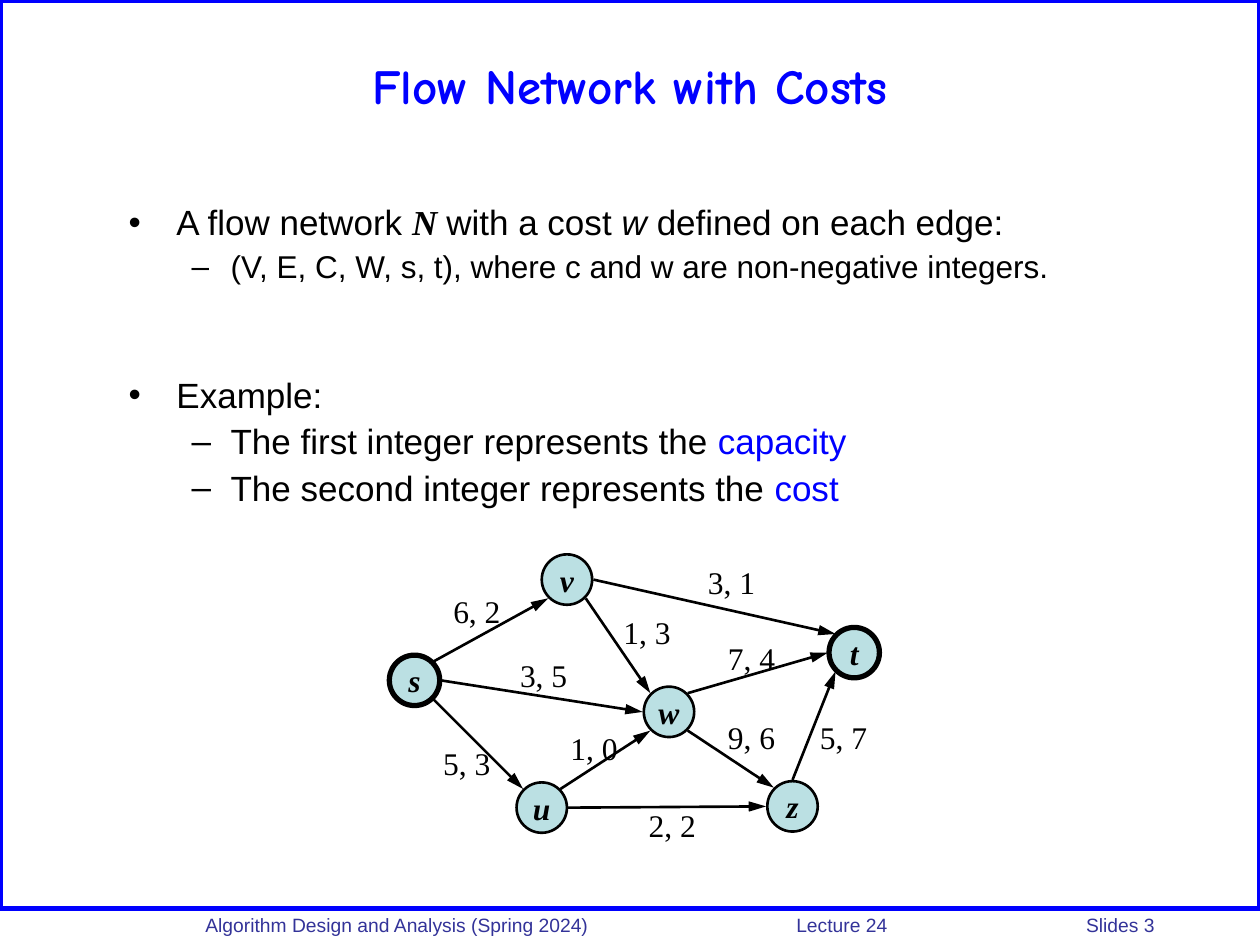
from math import cos, radians, sin

from lxml.etree import SubElement
from pptx import Presentation
from pptx.dml.color import RGBColor
from pptx.enum.shapes import MSO_CONNECTOR, MSO_SHAPE
from pptx.enum.text import MSO_ANCHOR, MSO_AUTO_SIZE, PP_ALIGN
from pptx.oxml.ns import qn
from pptx.util import Inches, Pt

BLACK, BLUE = RGBColor(0, 0, 0), RGBColor(0, 0, 255)
THEME = {
    "node": RGBColor(0xBB, 0xE0, 0xE3),
    "title": {"name": "Comic Neue", "size": Pt(28), "bold": True, "color": BLUE},
    "body": {"name": "Arial", "size": Pt(20), "color": BLACK},
    "detail": {"size": Pt(18)},
    "term": {"color": BLUE},
    "variable": {"italic": True},
    "network": {"name": "Times New Roman", "bold": True, "italic": True},
    "label": {"name": "Times New Roman", "size": Pt(18), "color": BLACK},
    "footer": {"name": "Arial", "size": Pt(11), "color": RGBColor(0x33, 0x33, 0x99)},
}


def write(para, text, *styles):
    """Add a span to a paragraph; later styles override earlier ones."""
    span = para.add_run()
    span.text = text
    for style in styles:
        for key, value in THEME[style].items():
            if key == "color":
                span.font.color.rgb = value
            else:
                setattr(span.font, key, value)


def place(box, left, top, width, height):
    """Put a box on the grid, counted in columns and rows."""
    box.left, box.top = int(left * column), int(top * row)
    box.width, box.height = int(width * column), int(height * row)


deck = Presentation()
deck.slide_width, deck.slide_height = Inches(10), Inches(7.5)
column, row = deck.slide_width / 100, deck.slide_height / 75
page = deck.slides.add_slide(deck.slide_layouts[1])

# Page frame
frame = page.shapes.add_shape(MSO_SHAPE.RECTANGLE, 0, 0, 0, 0)
place(frame, 0, 0, 100, 72.1)
frame.shadow.inherit = False
frame.fill.background()
frame.line.color.rgb, frame.line.width = BLUE, Pt(3)

# Footer, its three parts set on tab stops
footer = page.shapes.add_textbox(0, 0, 0, 0)
place(footer, 13.3, 72, 86.7, 2.6)
footer.text_frame.word_wrap = True
footer.text_frame.margin_left = Inches(0.3)
para = footer.text_frame.paragraphs[0]
tabs = SubElement(para._p.get_or_add_pPr(), qn("a:tabLst"))
for stop in (4.69, 6.99):
    SubElement(tabs, qn("a:tab"), pos=str(Inches(stop)), algn="l")
write(para, "Algorithm Design and Analysis (Spring 2024)\tLecture 24\tSlides 3", "footer")

# Title
title = page.shapes.title
place(title, 5, 1.7, 90, 10)
title.text_frame.vertical_anchor = MSO_ANCHOR.MIDDLE
title.text_frame.paragraphs[0].alignment = PP_ALIGN.CENTER
write(title.text_frame.paragraphs[0], "Flow Network with Costs", "title")

# Bulleted text: level, space before, spans
body = page.placeholders[1]
place(body, 9.2, 15.8, 85, 26.7)
body.text_frame.auto_size = MSO_AUTO_SIZE.NONE
body.text_frame.vertical_anchor = MSO_ANCHOR.TOP
bullets = [("•", 0.38, 0.38), ("–", 0.81, 0.31)]
items = [
    (0, 0, [("A flow network ",), ("N ", "network"), ("with a cost ",),
            ("w", "variable"), (" defined on each edge:",)]),
    (1, 4.5, [("(V, E, C, W, s, t), where c and w are non-negative integers.", "detail")]),
    (0, 53, [("Example:",)]),
    (1, 5, [("The first integer represents the ",), ("capacity", "term")]),
    (1, 5, [("The second integer represents the ",), ("cost", "term")]),
]
for index, (level, gap, spans) in enumerate(items):
    para = body.text_frame.add_paragraph() if index else body.text_frame.paragraphs[0]
    sign, indent, hanging = bullets[level]
    properties = para._p.get_or_add_pPr()
    properties.set("marL", str(Inches(indent)))
    properties.set("indent", str(-Inches(hanging)))
    SubElement(properties, qn("a:buFont"), typeface="Arial")
    SubElement(properties, qn("a:buChar"), char=sign)
    for key, value in {"level": level, "line_spacing": 0.9, "space_before": Pt(gap)}.items():
        setattr(para, key, value)
    for text, *styles in spans:
        write(para, text, "body", *styles)

# Nodes: centre and outline width
size = 4
nodes = {"w": (53.1, 56.5, 1.5), "s": (32.9, 54, 3), "v": (45, 46, 1.5),
         "u": (43, 64.1, 1.5), "t": (67.8, 51.8, 3), "z": (62.9, 64, 1.5)}
for name, (x, y, weight) in nodes.items():
    node = page.shapes.add_shape(MSO_SHAPE.OVAL, 0, 0, 0, 0)
    place(node, x - size / 2, y - size / 2, size, size)
    node.shadow.inherit = False
    node.fill.solid()
    node.fill.fore_color.rgb = THEME["node"]
    node.line.color.rgb, node.line.width = BLACK, Pt(weight)
    node.text_frame.word_wrap = False
    node.text_frame.vertical_anchor = MSO_ANCHOR.MIDDLE
    node.text_frame.paragraphs[0].alignment = PP_ALIGN.CENTER
    write(node.text_frame.paragraphs[0], name, "label", "network")

# Edges: ends with their compass side, then the label and its corner
compass = {side: radians(45 * turn)
           for turn, side in enumerate(("E", "SE", "S", "SW", "W", "NW", "N", "NE"))}
reach = size / 2 + 0.1
edges = [
    ("s", "NE", "v", "SW", "6, 2", 35, 46.5),
    ("s", "SE", "u", "NW", "5, 3", 34.2, 58.6),
    ("v", "SE", "w", "NW", "1, 3", 48.5, 48.2),
    ("v", "E", "t", "NW", "3, 1", 55.2, 44.2),
    ("w", "NE", "t", "W", "7, 4", 56.8, 50.2),
    ("w", "SE", "z", "NW", "9, 6", 56.8, 56.5),
    ("z", "N", "t", "SW", "5, 7", 64.1, 56.5),
    ("u", "E", "z", "W", "2, 2", 50.5, 63.5),
    ("u", "NE", "w", "SW", "1, 0", 44.3, 57.4),
    ("s", "E", "w", "W", "3, 5", 40.3, 51.6),
]
for start, leaving, end, entering, costs, left, top in edges:
    ends = []
    for name, side in ((start, leaving), (end, entering)):
        x, y, _ = nodes[name]
        ends += [int((x + reach * cos(compass[side])) * column),
                 int((y + reach * sin(compass[side])) * row)]
    edge = page.shapes.add_connector(MSO_CONNECTOR.STRAIGHT, *ends)
    edge.line.color.rgb, edge.line.width = BLACK, Pt(1.5)
    SubElement(edge.line._get_or_add_ln(), qn("a:tailEnd"), type="triangle", w="med", len="lg")
    SubElement(edge._element.spPr, qn("a:effectLst"))

    # Narrow side margins keep the pair of numbers on one line
    label = page.shapes.add_textbox(0, 0, 0, 0)
    place(label, left, top, 5.7, 4)
    for key, value in {"word_wrap": False, "auto_size": MSO_AUTO_SIZE.NONE,
                       "margin_left": Inches(0.05), "margin_right": Inches(0.05)}.items():
        setattr(label.text_frame, key, value)
    label.text_frame.paragraphs[0].alignment = PP_ALIGN.CENTER
    write(label.text_frame.paragraphs[0], costs, "label")

deck.save("out.pptx")
